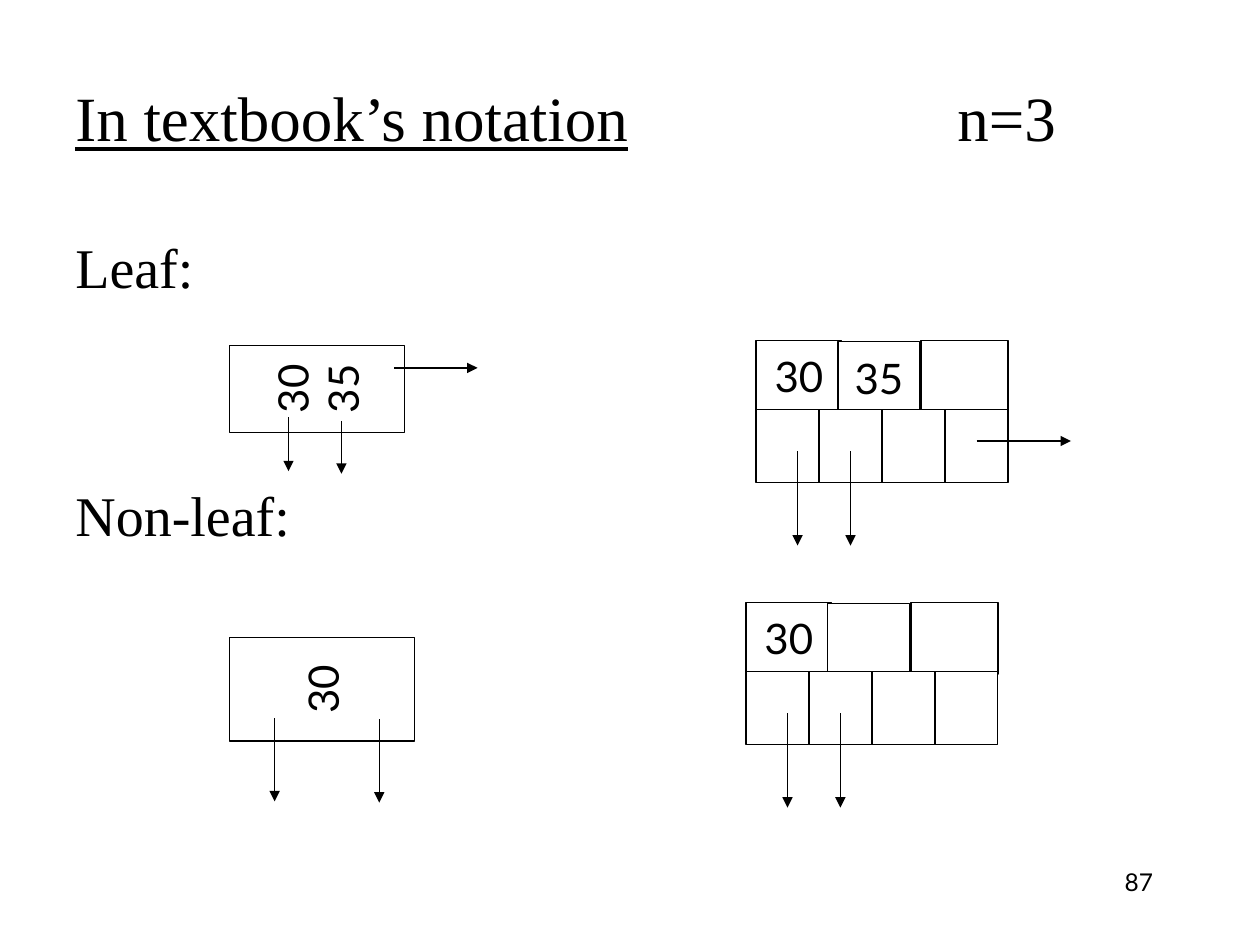
from dataclasses import dataclass

from lxml import etree
from pptx import Presentation
from pptx import util as u
from pptx.dml.color import RGBColor
from pptx.enum import shapes, text
from pptx.oxml import ns


@dataclass(frozen=True)
class Theme:
    ink: RGBColor = RGBColor(0, 0, 0)
    paper: RGBColor = RGBColor(255, 255, 255)
    serif: str = "Times New Roman"
    sans: str = "Lato"
    title: int = 36
    body: int = 32
    key: int = 24
    number: int = 14
    line: float = 0.75


THEME = Theme()
COLUMNS, ROWS = 100, 75
CELL = u.Inches(0.1)

# Parts of a textbook node, in grid cells from its top left corner
KEY_CELLS = ((0, 0, 6.8), (6.5, 0.1, 6.5), (13.1, 0, 6.9))  # left, top, width
KEY_HEIGHT = 5.7
POINTER_COUNT, POINTER_WIDTH = 4, 5
POINTER_TOP, POINTER_HEIGHT = 5.5, 5.8
ARROW_LENGTH = 7.5


def cells(*counts):
    return [round(count * CELL) for count in counts]


def write(paragraph, wording, *, size, font, underline=False, align=None, before=0):
    run = paragraph.add_run()
    run.text = wording
    run.font.size = u.Pt(size)
    run.font.name = font
    run.font.color.rgb = THEME.ink
    run.font.underline = underline
    paragraph.alignment = align
    paragraph.space_before = u.Pt(before)


def add_text_box(slide, box, anchor=text.MSO_ANCHOR.TOP):
    frame = slide.shapes.add_textbox(*cells(*box)).text_frame
    frame.word_wrap = True
    frame.vertical_anchor = anchor
    return frame


def add_rectangle(slide, box, keys=(), rotation=0):
    shape = slide.shapes.add_shape(shapes.MSO_SHAPE.RECTANGLE, *cells(*box))
    shape.shadow.inherit = False
    shape.rotation = rotation
    shape.fill.solid()
    shape.fill.fore_color.rgb = THEME.paper
    shape.line.color.rgb = THEME.ink
    shape.line.width = u.Pt(THEME.line)
    frame = shape.text_frame
    frame.word_wrap = False
    frame.vertical_anchor = text.MSO_ANCHOR.MIDDLE
    for index, key in enumerate(keys):
        paragraph = frame.add_paragraph() if index else frame.paragraphs[0]
        write(paragraph, key, size=THEME.key, font=THEME.sans,
              align=text.PP_ALIGN.CENTER)


def add_arrow(slide, left, top, across=0, down=0):
    connector = slide.shapes.add_connector(
        shapes.MSO_CONNECTOR.STRAIGHT, *cells(left, top, left + across, top + down))
    connector.line.color.rgb = THEME.ink
    connector.line.width = u.Pt(THEME.line)
    etree.SubElement(connector.line._get_or_add_ln(), ns.qn("a:tailEnd"), type="triangle")
    etree.SubElement(connector._element.spPr, ns.qn("a:effectLst"))


def add_title(slide, box):
    paragraph = add_text_box(slide, box, text.MSO_ANCHOR.MIDDLE).paragraphs[0]
    properties = paragraph._p.get_or_add_pPr()
    tabs = etree.SubElement(properties, ns.qn("a:tabLst"))
    etree.SubElement(tabs, ns.qn("a:tab"), pos=str(u.Inches(7)), algn="l")
    style = {"size": THEME.title, "font": THEME.serif}
    write(paragraph, "In textbook’s notation", underline=True, **style)
    write(paragraph, "\tn=3", **style)


def add_labels(slide, box):
    frame = add_text_box(slide, box)
    style = {"size": THEME.body, "font": THEME.serif}
    write(frame.paragraphs[0], "Leaf:", **style)
    write(frame.add_paragraph(), "Non-leaf:", before=103, **style)


def add_page_number(slide, box):
    write(add_text_box(slide, box).paragraphs[0], "87", size=THEME.number,
          font=THEME.sans, align=text.PP_ALIGN.RIGHT)


def add_compact_node(slide, box, keys, arrows):
    """Draw a node with sideways keys; arrows are (left, top, across, down) in the box."""
    left, top, width, height = box
    turn = (width - height) / 2
    add_rectangle(slide, (left + turn, top - turn, height, width), keys, rotation=270)
    for x, y, across, down in arrows:
        add_arrow(slide, left + x, top + y, across, down)


def add_textbook_node(slide, left, top, keys, has_next=False):
    """Draw a row of keys above a row of pointers."""
    for index, (x, y, width) in enumerate(KEY_CELLS):
        add_rectangle(slide, (left + x, top + y, width, KEY_HEIGHT), keys[index:index + 1])
    for index in range(POINTER_COUNT):
        add_rectangle(slide, (left + index * POINTER_WIDTH, top + POINTER_TOP,
                              POINTER_WIDTH, POINTER_HEIGHT))
    for x in (3.3, 7.5):
        add_arrow(slide, left + x, top + 8.8, down=ARROW_LENGTH)
    if has_next:
        add_arrow(slide, left + 17.5, top + 8, across=ARROW_LENGTH)


def main():
    presentation = Presentation()
    presentation.slide_width, presentation.slide_height = cells(COLUMNS, ROWS)
    slide = presentation.slides.add_slide(presentation.slide_layouts[6])

    add_page_number(slide, (71.7, 68.3, 20.8, 5))
    add_title(slide, (5, 3, 90, 12.5))
    add_labels(slide, (5, 18, 90, 49))
    add_compact_node(slide, (18.2, 27.4, 13.9, 6.9), ["30", "35"],
                     [(13.1, 1.8, 6.6, 0), (4.7, 5.7, 0, 4.3), (8.9, 6, 0, 4.2)])
    add_compact_node(slide, (18.2, 50.6, 14.7, 8.2), ["30"],
                     [(3.6, 6.4, 0, 6.6), (11.9, 6.5, 0, 6.6)])
    add_textbook_node(slide, 60, 27, ["30", "35"], has_next=True)
    add_textbook_node(slide, 59.2, 47.8, ["30"])

    presentation.save("out.pptx")


if __name__ == "__main__":
    main()
